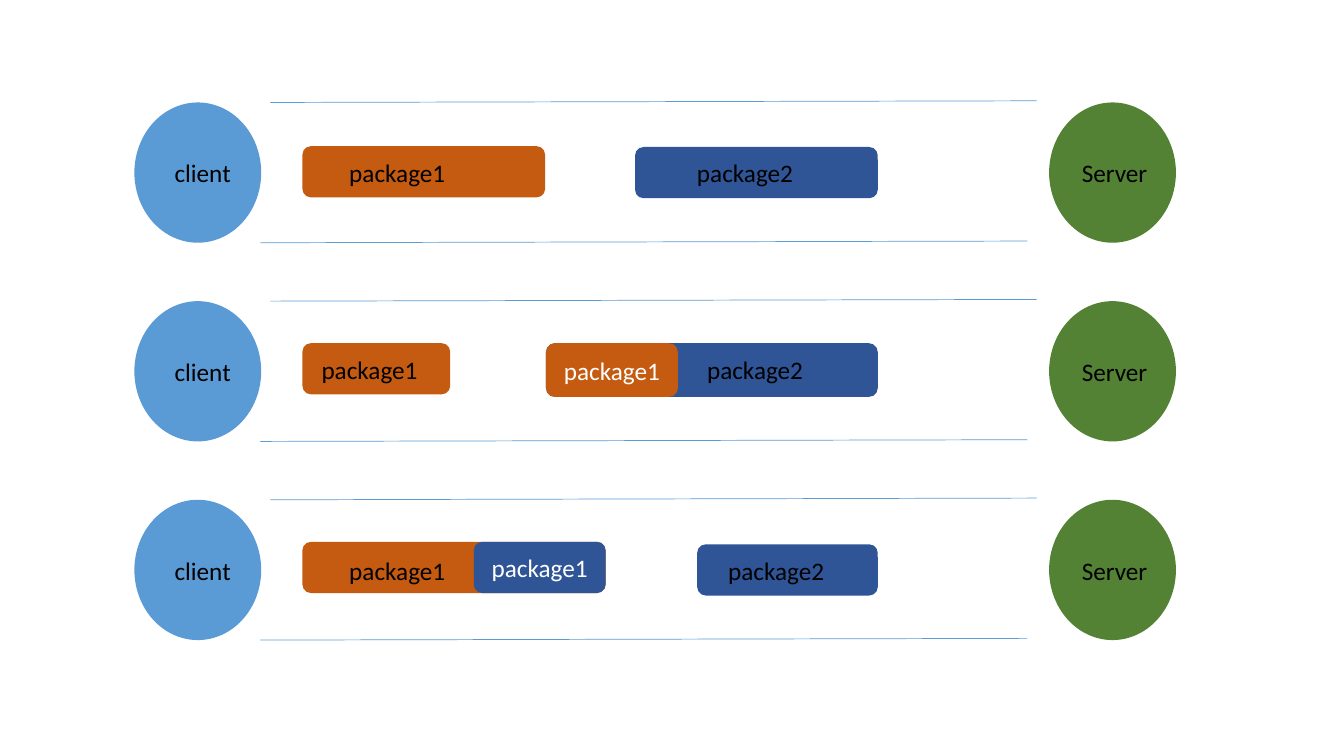
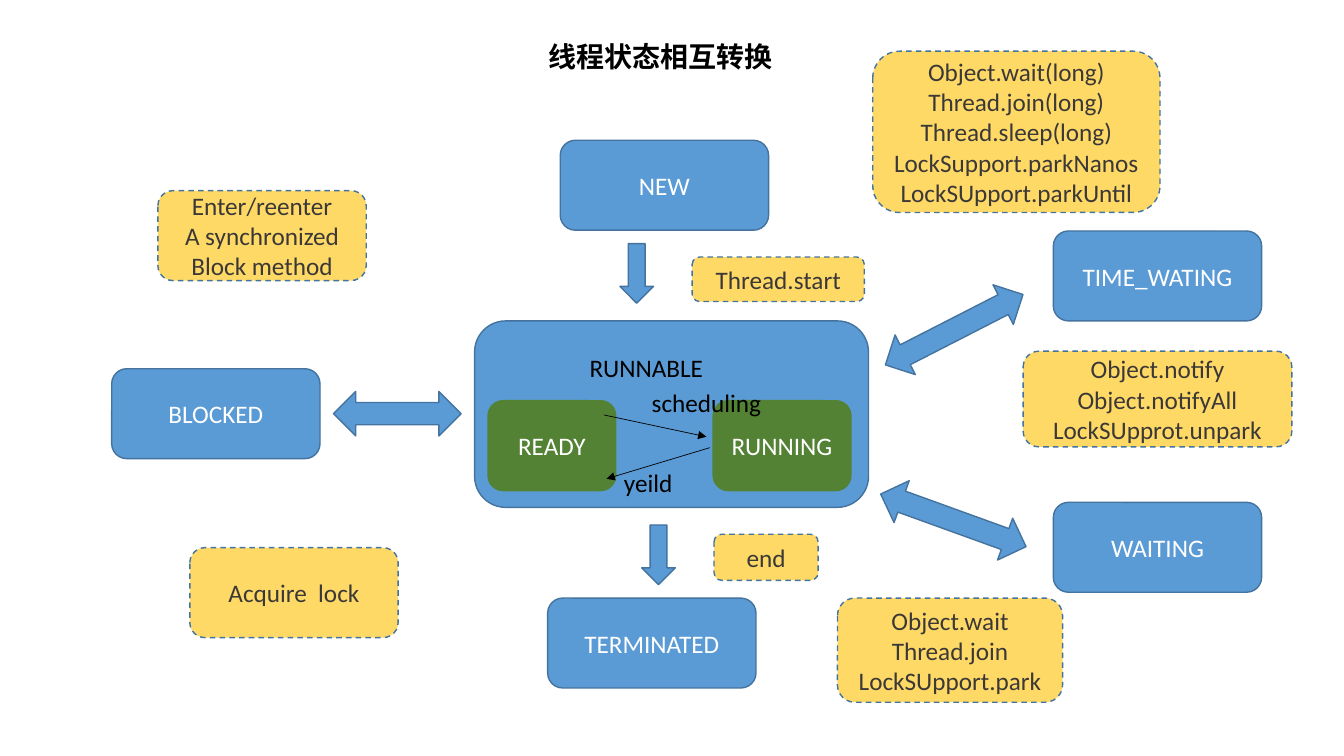
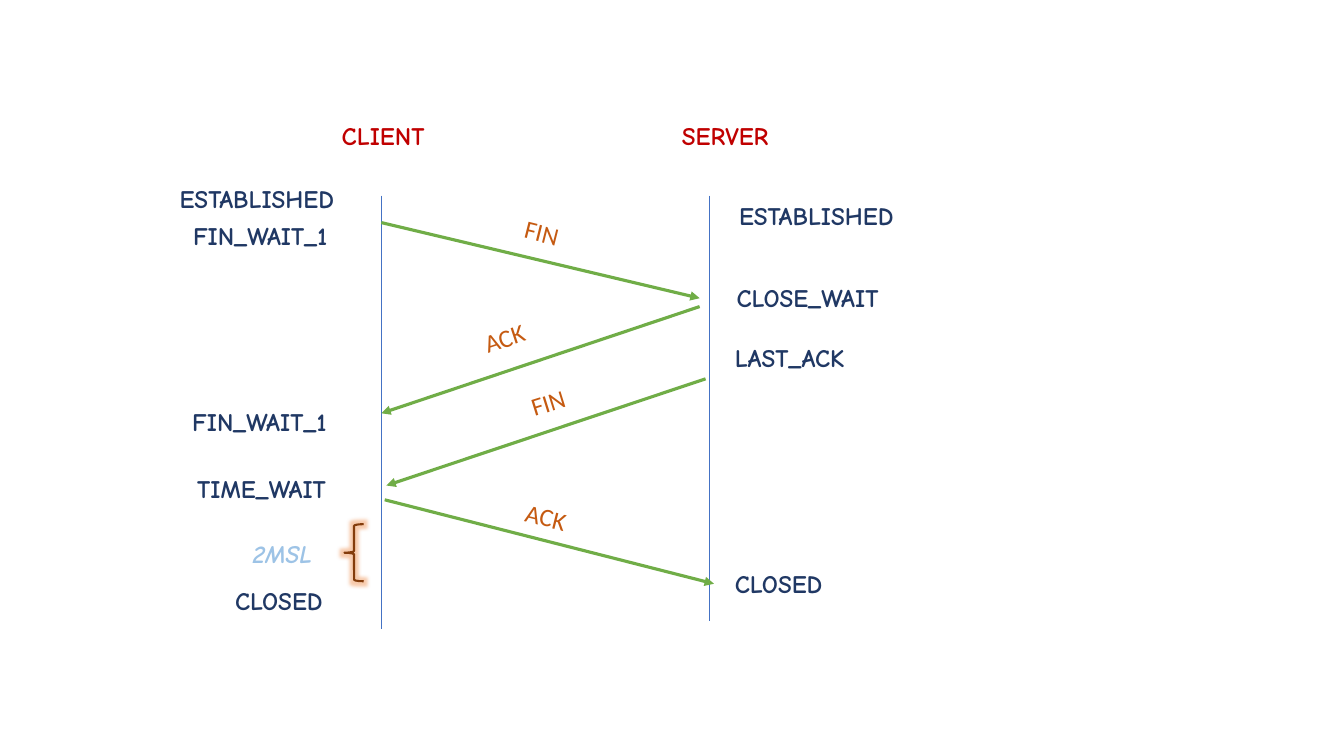
from dataclasses import dataclass

from lxml.etree import SubElement
from pptx import Presentation
from pptx.dml.color import RGBColor
from pptx.enum.dml import MSO_LINE_DASH_STYLE as DASH
from pptx.enum.shapes import MSO_CONNECTOR as CONNECTOR, MSO_SHAPE as SHAPE
from pptx.enum.text import MSO_ANCHOR as ANCHOR, MSO_AUTO_SIZE as AUTO_SIZE, PP_ALIGN as ALIGN
from pptx.oxml.ns import qn
from pptx.util import Inches, Pt

COLUMNS, ROWS = 160, 90
CELL = Inches(1) // 12
TITLE_ONLY, BLANK = 5, 6
LABEL_HEIGHT = 4.8
COLORS = {
    "black": "000000", "white": "FFFFFF", "blue": "5B9BD5", "outline": "43739E",
    "green": "548235", "orange": "C55A11", "navy": "2F5597", "yellow": "FFD966",
    "charcoal": "3B3838", "lifeline": "4472C4", "arrow": "70AD47", "red": "C00000",
    "state": "203864", "pale": "9DC3E6", "brown": "843C0B", "glow": "ED7D31",
}


@dataclass
class Box:
    left: float
    top: float
    width: float
    height: float

    def inner(self, left, top, width, height):
        return Box(self.left + left, self.top + top, width, height)

    def point(self, column, row):
        return cells(self.left + column), cells(self.top + row)

    def frame(self):
        return [cells(length) for length in (self.left, self.top, self.width, self.height)]


def cells(count):
    return round(count * CELL)


def rgb(color):
    return RGBColor.from_string(COLORS[color])


def write(frame, lines, color, font="Calibri", size=18, bold=False, italic=False, align=ALIGN.LEFT):
    for index, line in enumerate(lines):
        paragraph = frame.paragraphs[0] if index == 0 else frame.add_paragraph()
        paragraph.alignment = align
        run = paragraph.add_run()
        run.text = line
        run.font.name = font
        run.font.size = Pt(size)
        run.font.bold = bold
        run.font.italic = italic
        run.font.color.rgb = rgb(color)


def add_label(slide, box, text, color="black", wrap=True, rotation=0, **style):
    label = slide.shapes.add_textbox(*box.frame())
    label.rotation = rotation
    label.text_frame.word_wrap = wrap
    label.text_frame.auto_size = AUTO_SIZE.SHAPE_TO_FIT_TEXT
    write(label.text_frame, [text], color, **style)


def add_block(slide, kind, box, fill, line=None, lines=(), color="white", weight=1, dashed=False, rotation=0):
    shape = slide.shapes.add_shape(kind, *box.frame())
    shape.shadow.inherit = False
    shape.rotation = rotation
    if fill:
        shape.fill.solid()
        shape.fill.fore_color.rgb = rgb(fill)
    else:
        shape.fill.background()
    if line:
        shape.line.color.rgb = rgb(line)
        shape.line.width = Pt(weight)
        if dashed:
            shape.line.dash_style = DASH.DASH
    else:
        shape.line.fill.background()
    shape.text_frame.vertical_anchor = ANCHOR.MIDDLE
    write(shape.text_frame, lines, color, align=ALIGN.CENTER)
    return shape


def add_line(slide, box, start, end, color, weight=0.5, arrow=False):
    line = slide.shapes.add_connector(CONNECTOR.STRAIGHT, *box.point(*start), *box.point(*end))
    line.line.color.rgb = rgb(color)
    line.line.width = Pt(weight)
    if arrow:
        SubElement(line.line._get_or_add_ln(), qn("a:tailEnd"), type="triangle")
    SubElement(line._element.spPr, qn("a:effectLst"))


def add_glow(shape, color, radius, opacity):
    effects = shape._element.spPr.find(qn("a:effectLst"))
    glow = SubElement(effects, qn("a:glow"), rad=str(Pt(radius)))
    tint = SubElement(glow, qn("a:srgbClr"), val=COLORS[color])
    SubElement(tint, qn("a:alpha"), val=str(opacity * 1000))


def add_lane(slide, box, packages, labels, overlay):
    circle = 15.1
    for left, fill in ((0, "blue"), (box.width - circle, "green")):
        add_block(slide, SHAPE.OVAL, box.inner(left, 0, circle, box.height), fill)
    add_line(slide, box, (16.2, 0), (107.4, -0.2), "blue")
    add_line(slide, box, (15, box.height), (106.3, box.height - 0.2), "blue")
    for fill, *place in packages:
        add_block(slide, SHAPE.ROUNDED_RECTANGLE, box.inner(*place), fill)
    add_label(slide, box.inner(3.6, 6, 9.7, LABEL_HEIGHT), "client")
    add_label(slide, box.inner(111.6, 6, 12.4, LABEL_HEIGHT), "Server")
    for text, left, top in labels:
        add_label(slide, box.inner(left, top, 16.6, LABEL_HEIGHT), text)
    if overlay:
        fill, *place = overlay
        add_block(slide, SHAPE.ROUNDED_RECTANGLE, box.inner(*place), fill, lines=["package1"])


def build_packages(slide):
    lanes = (
        ((("orange", 20, 5.2, 28.9, 6.1), ("navy", 59.6, 5.3, 28.9, 6.1)),
         (("package1", 24.4, 6), ("package2", 65.8, 6)),
         None),
        ((("orange", 20, 5, 17.6, 6.1), ("navy", 49, 5, 39.5, 6.4)),
         (("package1", 21.1, 5.8), ("package2", 67, 5.8)),
         ("orange", 49, 5, 15.7, 6.4)),
        ((("orange", 20, 5, 36.1, 6.1), ("navy", 67, 5.3, 21.5, 6.1)),
         (("package1", 24.4, 6), ("package2", 69.5, 6)),
         ("navy", 40.4, 5, 15.7, 6.1)),
    )
    for index, lane in enumerate(lanes):
        add_lane(slide, Box(16, 12.2 + index * 23.65, 124, 16.7), *lane)


def add_title(slide, box, text):
    title = slide.shapes.title
    title.left, title.top, title.width, title.height = box.frame()
    title.text_frame.auto_size = AUTO_SIZE.NONE
    title.text_frame.vertical_anchor = ANCHOR.TOP
    write(title.text_frame, [text], "black", size=20, bold=True)


def add_runnable(slide, box):
    add_block(slide, SHAPE.ROUNDED_RECTANGLE, box, "blue", "outline")
    for text, left, width in (("READY", 1.6, 15.2), ("RUNNING", 28.4, 16.4)):
        add_block(slide, SHAPE.ROUNDED_RECTANGLE, box.inner(left, 9.5, width, 10.7),
                  "green", "green", [text])
    for start, end in (((15.4, 11.2), (27.6, 13.8)), ((28, 15.1), (15.7, 18.8))):
        add_line(slide, box, start, end, "black", arrow=True)
    for text, left, top in (("RUNNABLE", 12.5, 3.2), ("scheduling", 19.9, 7.3), ("yeild", 16.6, 16.9)):
        add_label(slide, box.inner(left, top, 17.9, LABEL_HEIGHT), text)


def build_thread_states(slide):
    page = Box(0, 0, COLUMNS, ROWS)
    state_size = (24.8, 10.7)
    double_arrow = SHAPE.LEFT_RIGHT_ARROW
    states = (
        ("NEW", 66.7, 16.7), ("WAITING", 125.4, 59.8), ("TIME_WATING", 125.4, 27.5),
        ("TERMINATED", 65.2, 71.2), ("BLOCKED", 13.3, 43.9),
    )
    notes = (
        (("Enter/reenter", "A synchronized", "Block method"), 18.8, 22.7, *state_size),
        (("Thread.start",), 82.4, 30.6, 20.5, 5.3),
        (("Object.wait(long)", "Thread.join(long)", "Thread.sleep(long)",
          "LockSupport.parkNanos", "LockSUpport.parkUntil"), 103.9, 6.1, 34.2, 19.2),
        (("Object.notify", "Object.notifyAll", "LockSUpprot.unpark"), 121.8, 41.8, 32, 11.4),
        (("Object.wait", "Thread.join", "LockSUpport.park"), 99.7, 71.2, 26.8, 12.4),
        (("end",), 85, 63.6, 12.4, 5.5),
        (("Acquire  lock",), 22.6, 65.2, *state_size),
    )
    arrows = (
        (double_arrow, 332.9, 104.4, 36.6, 18.4, 5.3),
        (double_arrow, 19.9, 104.3, 59.3, 18.4, 5.3),
        (double_arrow, 0, 39.7, 46.6, 15.2, 5.3),
        (SHAPE.DOWN_ARROW, 0, 73.8, 29, 4, 7.1),
        (SHAPE.DOWN_ARROW, 0, 76.4, 62.5, 4, 7.1),
    )
    add_title(slide, page.inner(64.1, 4.1, 31.8, 5.3), "线程状态相互转换")
    add_runnable(slide, page.inner(56.5, 38.2, 46.9, 22.2))
    for text, left, top in states:
        add_block(slide, SHAPE.ROUNDED_RECTANGLE, page.inner(left, top, *state_size),
                  "blue", "outline", [text])
    for lines, *place in notes:
        add_block(slide, SHAPE.ROUNDED_RECTANGLE, page.inner(*place), "yellow", "outline",
                  lines, "charcoal", dashed=True)
    for kind, rotation, *place in arrows:
        add_block(slide, kind, page.inner(*place), "blue", "outline", rotation=rotation)


def add_sequence(slide, box):
    lifelines = (("CLIENT", 19.5, 16.4, 25.4, 61.4), ("SERVER", 60, 19.6, 64.5, 60.4))
    messages = (
        ("FIN", (25.4, 13), (63.3, 22), (41.3, 11.8, 6.8), 14.1),
        ("ACK", (63.3, 23), (25.4, 35.7), (36.4, 24.2, 7.9), 341.6),
        ("FIN", (64, 31.6), (26, 44.3), (42, 31.9, 6.8), 342.7),
        ("ACK", (25.8, 46), (65, 56), (41.4, 45.7, 7.9), 14.1),
    )
    states = (
        ("ESTABLISHED", 0.2, 7.7, 24.5), ("FIN_WAIT_1", 1.8, 12.1, 23.2),
        ("FIN_WAIT_1", 1.7, 34.3, 23.2), ("TIME_WAIT", 2.3, 42.3, 21.7),
        ("CLOSED", 6.8, 55.6, 14.5), ("ESTABLISHED", 66.8, 9.8, 24.5),
        ("CLOSE_WAIT", 66.5, 19.5, 23.4), ("LAST_ACK", 66.3, 26.7, 18.4),
        ("CLOSED", 66.3, 53.6, 14.5),
    )
    lettering = {"font": "Comic Neue", "bold": True}
    for text, left, width, column, bottom in lifelines:
        add_line(slide, box, (column, 9.8), (column, bottom), "lifeline")
        add_label(slide, box.inner(left, 0.2, width, LABEL_HEIGHT), text, "red", **lettering)
    for text, start, end, place, rotation in messages:
        add_line(slide, box, start, end, "arrow", 2.25, arrow=True)
        add_label(slide, box.inner(*place, LABEL_HEIGHT), text, "orange", wrap=False, rotation=rotation)
    for text, *place in states:
        add_label(slide, box.inner(*place, LABEL_HEIGHT), text, "state", wrap=False, **lettering)
    brace = add_block(slide, SHAPE.LEFT_BRACE, box.inner(21, 48.9, 2.3, 6.8), None, "brown", weight=1.5)
    add_glow(brace, "glow", radius=5, opacity=40)
    add_label(slide, box.inner(8.9, 50, 10.7, LABEL_HEIGHT), "2MSL", "pale",
              wrap=False, italic=True, **lettering)


def build_closing(slide):
    add_sequence(slide, Box(20, 13.5, 92, 62))


presentation = Presentation()
presentation.slide_width = cells(COLUMNS)
presentation.slide_height = cells(ROWS)
for layout, build in ((BLANK, build_packages), (TITLE_ONLY, build_thread_states), (BLANK, build_closing)):
    build(presentation.slides.add_slide(presentation.slide_layouts[layout]))
presentation.save("out.pptx")
